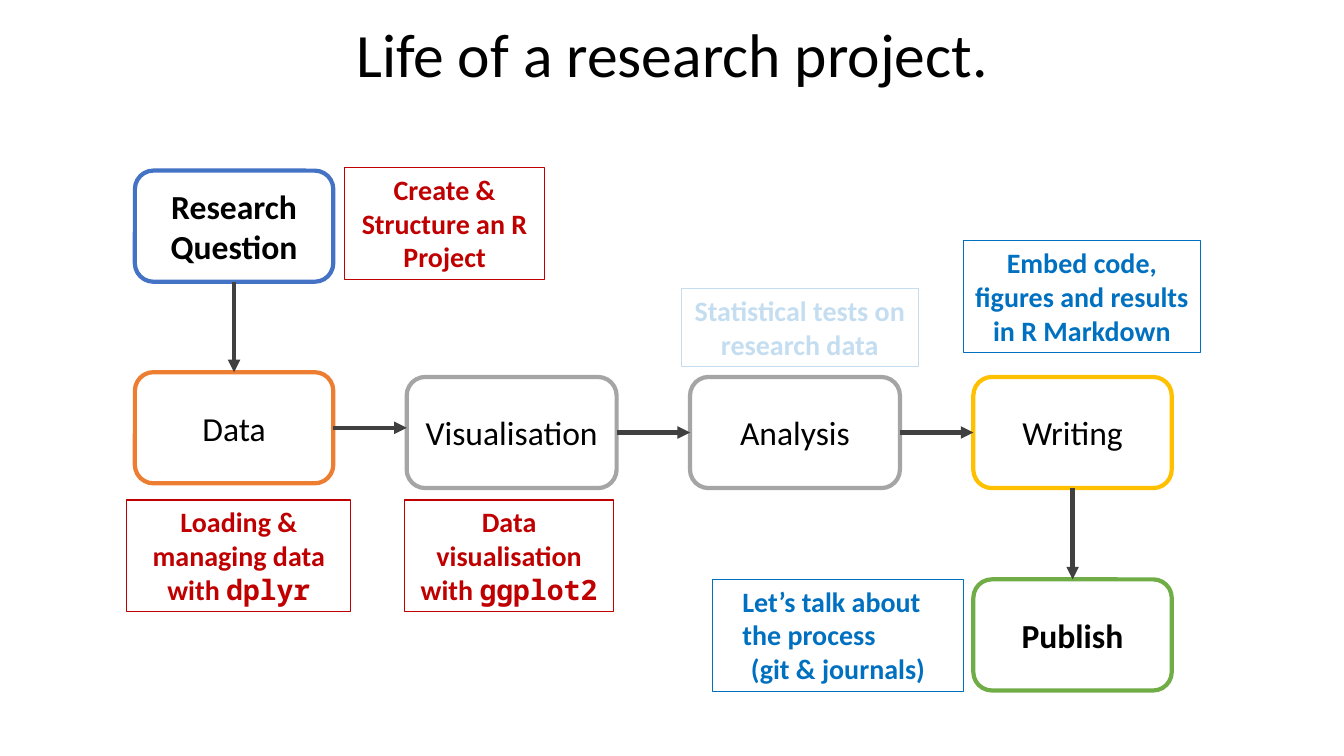
from dataclasses import dataclass
from itertools import accumulate

from lxml.etree import SubElement
from pptx import Presentation
from pptx.dml.color import RGBColor
from pptx.enum.shapes import MSO_CONNECTOR as Connector, MSO_SHAPE as Preset
from pptx.enum.text import MSO_ANCHOR as Anchor, MSO_AUTO_SIZE as AutoSize, PP_ALIGN as Align
from pptx.oxml.ns import qn
from pptx.util import Cm, Pt


@dataclass(frozen=True)
class Theme:
    """Colours, fonts and type sizes of the slide."""
    black: str = "000000"
    white: str = "FFFFFF"
    arrow: str = "404040"
    blue: str = "4472C4"
    orange: str = "ED7D31"
    grey: str = "A5A5A5"
    yellow: str = "FFC000"
    green: str = "70AD47"
    taught: str = "C00000"
    discussed: str = "0070C0"
    font: str = "Calibri"
    code_font: str = "Noto Sans Mono"
    title_size: int = 44
    stage_size: int = 24
    note_size: int = 20


THEME = Theme()
TITLE = "Life of a research project."
TITLE_AREA = (2.34, -0.38, 29.21, 3.68)

COLUMN_WIDTHS = (5, 5.29, 5.29, 5)
COLUMN_GAP, FIRST_LEFT, STAGE_HEIGHT = 1.85, 3.4, 2.8
STAGES = {
    "Research Question": (0, 4.3, THEME.blue, True),
    "Data": (0, 9.38, THEME.orange, False),
    "Visualisation": (1, 9.5, THEME.grey, False),
    "Analysis": (2, 9.5, THEME.grey, False),
    "Writing": (3, 9.5, THEME.yellow, False),
    "Publish": (3, 14.6, THEME.green, True),
}

TOP, LEFT, BOTTOM, RIGHT = range(4)
NOTES = [
    ((8.69, 4.22, 5.03, 2.82), THEME.taught, [["Create & Structure an R Project"]]),
    ((3.2, 12.6, 5.64, 2.82), THEME.taught, [["Loading & managing data"], ["with ", "dplyr"]]),
    ((10.19, 12.6, 5.28, 2.82), THEME.taught, [["Data visualisation with ", "ggplot2"]]),
    ((17.17, 7.27, 5.97, 1.96), THEME.discussed, [["Statistical tests on research data"]]),
    ((24.28, 6.07, 5.97, 2.82), THEME.discussed,
     [["Embed code, figures and results in R Markdown"]]),
    ((17.96, 14.6, 6.32, 2.82), THEME.discussed,
     [["Let’s talk about"], ["the process"], ["(git & journals)"]]),
]
CODE_WORDS = {"dplyr", "ggplot2"}
INDENTED_LINES = {"Let’s talk about", "the process"}
LINE_INDENT = 0.5
VEIL_AREA, VEIL_OPACITY = (16.94, 7.04, 6.45, 2.36), 77


def colour(value):
    """Turn a hex string into a colour."""
    return RGBColor.from_string(value)


def lengths(area):
    """Turn centimetres into slide lengths."""
    return [Cm(value) for value in area]


def add_span(para, text, size, shade, bold=False):
    """Add one formatted run to a paragraph."""
    span = para.add_run()
    span.text = text
    span.font.name = THEME.code_font if text in CODE_WORDS else THEME.font
    span.font.size, span.font.bold = Pt(size), bold
    span.font.color.rgb = colour(shade)


def set_outline(shape, shade, width):
    """Set the line of a shape or connector."""
    shape.line.color.rgb = colour(shade)
    shape.line.width = Pt(width)


def add_box(page, preset, area, outline, width):
    """Add a white shape without a shadow."""
    box = page.shapes.add_shape(preset, *lengths(area))
    box.shadow.inherit = False
    box.fill.solid()
    box.fill.fore_color.rgb = colour(THEME.white)
    set_outline(box, outline, width)
    return box


def add_title(page):
    """Place and format the title placeholder."""
    title = page.shapes.title
    title.left, title.top, title.width, title.height = lengths(TITLE_AREA)
    frame = title.text_frame
    frame.auto_size, frame.vertical_anchor = AutoSize.NONE, Anchor.MIDDLE
    para = frame.paragraphs[0]
    para.alignment, para.line_spacing = Align.CENTER, 0.9
    add_span(para, TITLE, THEME.title_size, THEME.black)


def add_stage(page, lefts, name):
    """Add one rounded stage of the project."""
    column, top, outline, bold = STAGES[name]
    area = (lefts[column], top, COLUMN_WIDTHS[column], STAGE_HEIGHT)
    box = add_box(page, Preset.ROUNDED_RECTANGLE, area, outline, 3)
    box.text_frame.word_wrap = True
    box.text_frame.vertical_anchor = Anchor.MIDDLE
    para = box.text_frame.paragraphs[0]
    para.alignment = Align.CENTER
    add_span(para, name, THEME.stage_size, THEME.black, bold)
    return box


def add_arrow(page, source, target):
    """Join two stages with a straight arrow."""
    sideways = target.left > source.left
    level = source.top + source.height // 2
    arrow = page.shapes.add_connector(Connector.STRAIGHT, source.left, level, target.left, level)
    arrow.begin_connect(source, RIGHT if sideways else BOTTOM)
    if not sideways or source.top == target.top:
        arrow.end_connect(target, LEFT if sideways else TOP)
    set_outline(arrow, THEME.arrow, 3)
    SubElement(arrow.line._get_or_add_ln(), qn("a:tailEnd"), type="triangle")
    SubElement(arrow._element.spPr, qn("a:effectLst"))


def add_note(page, area, shade, lines):
    """Add one outlined note."""
    box = page.shapes.add_textbox(*lengths(area))
    set_outline(box, shade, 0.75)
    frame = box.text_frame
    frame.word_wrap, frame.auto_size = True, AutoSize.SHAPE_TO_FIT_TEXT
    for index, texts in enumerate(lines):
        para = frame.add_paragraph() if index else frame.paragraphs[0]
        para.alignment = Align.CENTER
        if texts[0] in INDENTED_LINES:
            para.alignment = Align.LEFT
            para._p.get_or_add_pPr().set("marL", str(Cm(LINE_INDENT)))
        for text in texts:
            add_span(para, text, THEME.note_size, shade, True)


def add_veil(page):
    """Fade the note on statistical tests."""
    veil = add_box(page, Preset.RECTANGLE, VEIL_AREA, THEME.white, 1)
    shade = veil._element.spPr.find(qn("a:solidFill")).find(qn("a:srgbClr"))
    SubElement(shade, qn("a:alpha"), val=str(VEIL_OPACITY * 1000))


def main():
    """Build and save the deck."""
    deck = Presentation()
    deck.slide_width, deck.slide_height = Cm(33.87), Cm(19.05)
    page = deck.slides.add_slide(deck.slide_layouts[5])
    add_title(page)
    steps = [width + COLUMN_GAP for width in COLUMN_WIDTHS[:-1]]
    lefts = list(accumulate(steps, initial=FIRST_LEFT))
    stages = [add_stage(page, lefts, name) for name in STAGES]
    for source, target in zip(stages, stages[1:]):
        add_arrow(page, source, target)
    for note in NOTES:
        add_note(page, *note)
    add_veil(page)
    deck.save("out.pptx")


if __name__ == "__main__":
    main()
